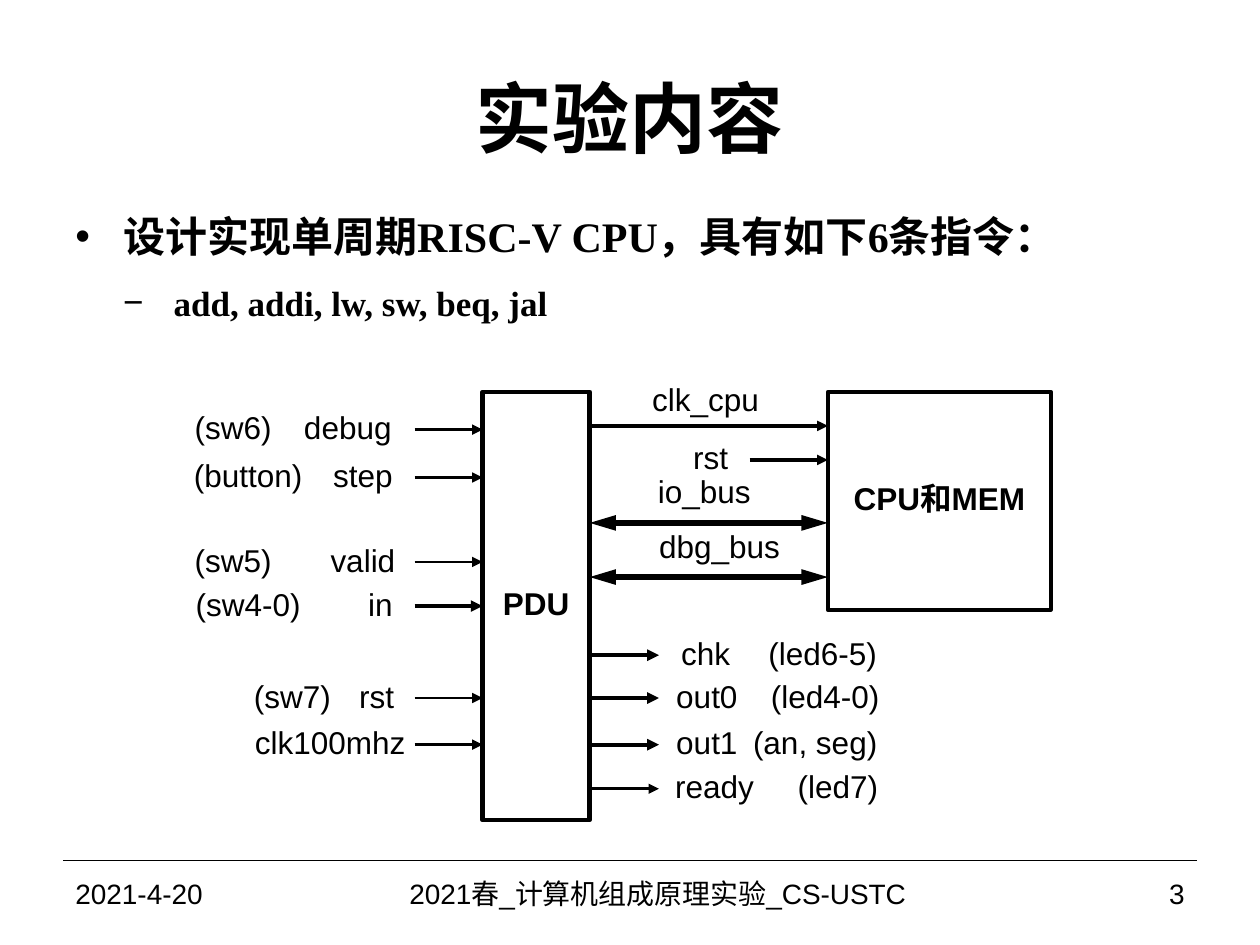
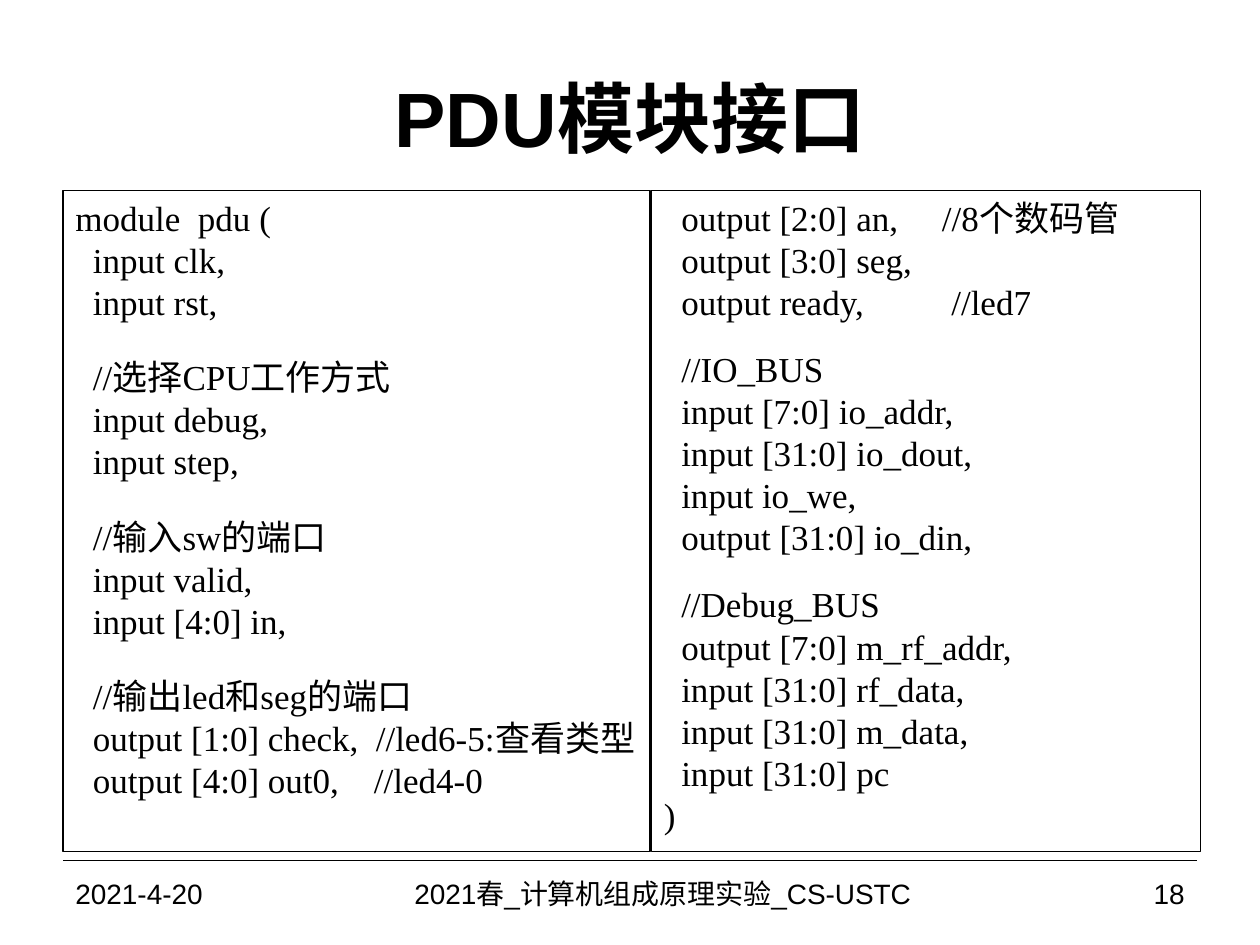
import pptx
import pptx.util
import pptx.dml.color
import pptx.enum.shapes
import pptx.enum.text
from lxml import etree
from pptx.oxml.ns import qn

Inches = pptx.util.Inches
Pt = pptx.util.Pt
ALIGN = {
    "left": pptx.enum.text.PP_ALIGN.LEFT,
    "center": pptx.enum.text.PP_ALIGN.CENTER,
    "right": pptx.enum.text.PP_ALIGN.RIGHT,
}
ANCHOR = {
    "top": pptx.enum.text.MSO_ANCHOR.TOP,
    "middle": pptx.enum.text.MSO_ANCHOR.MIDDLE,
}
COLORS = {"ink": "000000", "paper": "FFFFFF"}
SANS, SERIF = "Arial", "Times New Roman"

# Shared content
DATE = "2021-4-20"
COURSE = "2021春_计算机组成原理实验_CS-USTC"

# Slide 1 content
TASK = "设计实现单周期RISC-V CPU，具有如下6条指令："
INSTRUCTIONS = "add, addi, lw, sw, beq, jal"
PDU_BOX = (3.83, 3.11, 0.85, 3.4)
CPU_BOX = (6.57, 3.11, 1.77, 1.73)

# Signal, its centre x, board pin, its centre x, arrow y, arrow weight
INPUTS = [
    ("debug", 2.76, "(sw6)", 1.85, 3.41, 1.5),
    ("step", 2.88, "(button)", 1.97, 3.79, 1.5),
    ("valid", 2.88, "(sw5)", 1.85, 4.46, 1.5),
    ("in", 3.02, "(sw4-0)", 1.97, 4.81, 2.25),
    ("rst", 2.99, "(sw7)", 2.32, 5.54, 1.5),
    ("clk100mhz", 2.62, None, None, 5.91, 1.5),
]
OUTPUTS = [
    ("chk", 5.6, "(led6-5)", 6.53, 5.2, 2.25),
    ("out0", 5.61, "(led4-0)", 6.55, 5.54, 2.25),
    ("out1", 5.61, "(an, seg)", 6.47, 5.91, 2.25),
    ("ready", 5.67, "(led7)", 6.65, 6.26, 1.5),
]
# Signal, label centre x and y, arrow start x, arrow y, is it a bus
CPU_LINKS = [
    ("clk_cpu", 5.6, 3.17, 4.68, 3.38, False),
    ("rst", 5.64, 3.63, 5.95, 3.65, False),
    ("io_bus", 5.59, 3.9, 4.68, 4.15, True),
    ("dbg_bus", 5.71, 4.33, 4.68, 4.58, True),
]

# Slide 2 content: code in groups, with the gap before each group
PORTS_LEFT = [
    ["module  pdu (", "  input clk,", "  input rst,"],
    ["  //选择CPU工作方式", "  input debug,", "  input step,"],
    ["  //输入sw的端口", "  input valid,", "  input [4:0] in,"],
    ["  //输出led和seg的端口",
     "  output [1:0] check,  //led6-5:查看类型",
     "  output [4:0] out0,    //led4-0"],
]
PORTS_RIGHT = [
    ["  output [2:0] an,     //8个数码管", "  output [3:0] seg,",
     "  output ready,          //led7"],
    ["  //IO_BUS", "  input [7:0] io_addr,", "  input [31:0] io_dout,",
     "  input io_we,", "  output [31:0] io_din,"],
    ["  //Debug_BUS", "  output [7:0] m_rf_addr,", "  input [31:0] rf_data,",
     "  input [31:0] m_data,", "  input [31:0] pc", ")"],
]
CODE_PANELS = [
    ((0.5, 1.51, 4.66, 5.25), PORTS_LEFT, 19),
    ((5.17, 1.51, 4.36, 5.25), PORTS_RIGHT, 14.4),
]


def ink(name):
    return pptx.dml.color.RGBColor.from_string(COLORS[name])


def write(frame, text, size=18, font=SANS, bold=False, align="left",
          anchor="middle", wrap=True, margins=(0.1, 0.05), before=0,
          leading=None, bullet=None, indent=(0, 0), first=True):
    """Put one paragraph of text into a frame; first=False appends it."""
    frame.word_wrap = wrap
    frame.vertical_anchor = ANCHOR[anchor]
    frame.margin_left = frame.margin_right = Inches(margins[0])
    frame.margin_top = frame.margin_bottom = Inches(margins[1])
    line = frame.paragraphs[0] if first else frame.add_paragraph()
    if bullet:
        props = line._p.get_or_add_pPr()
        props.set("marL", str(Inches(indent[0])))
        props.set("indent", str(Inches(indent[1])))
        etree.SubElement(props, qn("a:buFont"), typeface=SANS)
        etree.SubElement(props, qn("a:buChar"), char=bullet)
    line.alignment = ALIGN[align]
    if before:
        line.space_before = Pt(before)
    if leading:
        line.line_spacing = Pt(leading)
    run = line.add_run()
    run.text = text
    run.font.size, run.font.name, run.font.bold = Pt(size), font, bold
    run.font.color.rgb = ink("ink")


def text_frame(slide, box):
    return slide.shapes.add_textbox(*map(Inches, box)).text_frame


def add_label(slide, text, x, y):
    """A diagram label centred on x, y, as wide as its text needs."""
    width = 0.13 * len(text) + 0.1
    write(text_frame(slide, (x - width / 2, y - 0.15, width, 0.3)), text,
          align="center", wrap=False, margins=(0, 0))


def add_frame(slide, box, weight):
    frame = slide.shapes.add_shape(
        pptx.enum.shapes.MSO_SHAPE.RECTANGLE, *map(Inches, box))
    frame.shadow.inherit = False
    frame.fill.background()
    frame.line.color.rgb = ink("ink")
    frame.line.width = Pt(weight)
    return frame


def add_line(slide, x1, x2, y, weight, ends=(), length="med"):
    """A horizontal line; ends lists which of headEnd and tailEnd get arrows."""
    line = slide.shapes.add_connector(
        pptx.enum.shapes.MSO_CONNECTOR.STRAIGHT,
        Inches(x1), Inches(y), Inches(x2), Inches(y))
    line.line.color.rgb = ink("ink")
    line.line.width = Pt(weight)
    for end in ends:
        etree.SubElement(line.line._get_or_add_ln(), qn("a:" + end),
                         type="triangle", w="med", len=length)
    etree.SubElement(line._element.spPr, qn("a:effectLst"))
    return line


def new_slide(deck, title, number, number_left):
    slide = deck.slides.add_slide(deck.slide_layouts[6])
    slide.background.fill.solid()
    slide.background.fill.fore_color.rgb = ink("paper")
    add_line(slide, 0.5, 9.5, 6.83, 0.75)
    write(text_frame(slide, (0.5, 0.3, 9, 1.25)), title, size=44, bold=True,
          align="center")
    footer = [
        (DATE, 0.5, 2.83, "left"),
        (COURSE, 2.83, number_left - 0.06, "center"),
        (number, number_left, 9.5, "right"),
    ]
    for text, left, right, align in footer:
        write(text_frame(slide, (left, 6.83, right - left, 0.52)), text,
              size=16, align=align)
    return slide


def build_task_slide(deck):
    slide = new_slide(deck, "实验内容", "3", 7.67)

    # Task and instruction list
    task = text_frame(slide, (0.5, 1.62, 8.83, 1.11))
    write(task, TASK, size=24, font=SERIF, bold=True, anchor="top",
          bullet="•", indent=(0.38, -0.38))
    write(task, INSTRUCTIONS, size=20, font=SERIF, bold=True, anchor="top",
          before=12, bullet="−", indent=(0.78, -0.4), first=False)

    # Blocks
    pdu = add_frame(slide, PDU_BOX, 2.5)
    cpu = add_frame(slide, CPU_BOX, 2.25)
    for block, name in ((pdu, "PDU"), (cpu, "CPU和MEM")):
        write(block.text_frame, name, bold=True, align="center", wrap=False,
              margins=(0, 0), leading=18)

    # Board signals on both sides of the PDU
    pdu_left, pdu_right = PDU_BOX[0], PDU_BOX[0] + PDU_BOX[2]
    pdu_middle = PDU_BOX[1] + PDU_BOX[3] / 2
    sides = [(INPUTS, pdu_left - 0.54, pdu_left),
             (OUTPUTS, pdu_right, pdu_right + 0.55)]
    for signals, start, end in sides:
        for name, name_x, pin, pin_x, y, weight in signals:
            arrow = add_line(slide, start, end, y, weight, ["tailEnd"])
            if end == pdu_left and abs(y - pdu_middle) < 0.01:
                arrow.end_connect(pdu, 1)
            add_label(slide, name, name_x, y - 0.02)
            if pin:
                add_label(slide, pin, pin_x, y - 0.02)

    # Links into the CPU
    for name, x, label_y, start, y, is_bus in CPU_LINKS:
        if is_bus:
            add_line(slide, start, CPU_BOX[0], y, 3, ["headEnd", "tailEnd"], "lg")
        else:
            add_line(slide, start, CPU_BOX[0], y, 2, ["tailEnd"])
        add_label(slide, name, x, label_y)


def build_ports_slide(deck):
    slide = new_slide(deck, "PDU模块接口", "18", 7.75)
    for box, groups, gap in CODE_PANELS:
        code = add_frame(slide, box, 0.75).text_frame
        for g, group in enumerate(groups):
            for i, line in enumerate(group):
                write(code, line, size=20, font=SERIF, anchor="top", leading=24,
                      before=gap if g and not i else 0, first=not (g or i))


def main():
    deck = pptx.Presentation()
    deck.slide_width, deck.slide_height = Inches(10), Inches(7.5)
    build_task_slide(deck)
    build_ports_slide(deck)
    deck.save("out.pptx")


if __name__ == "__main__":
    main()
